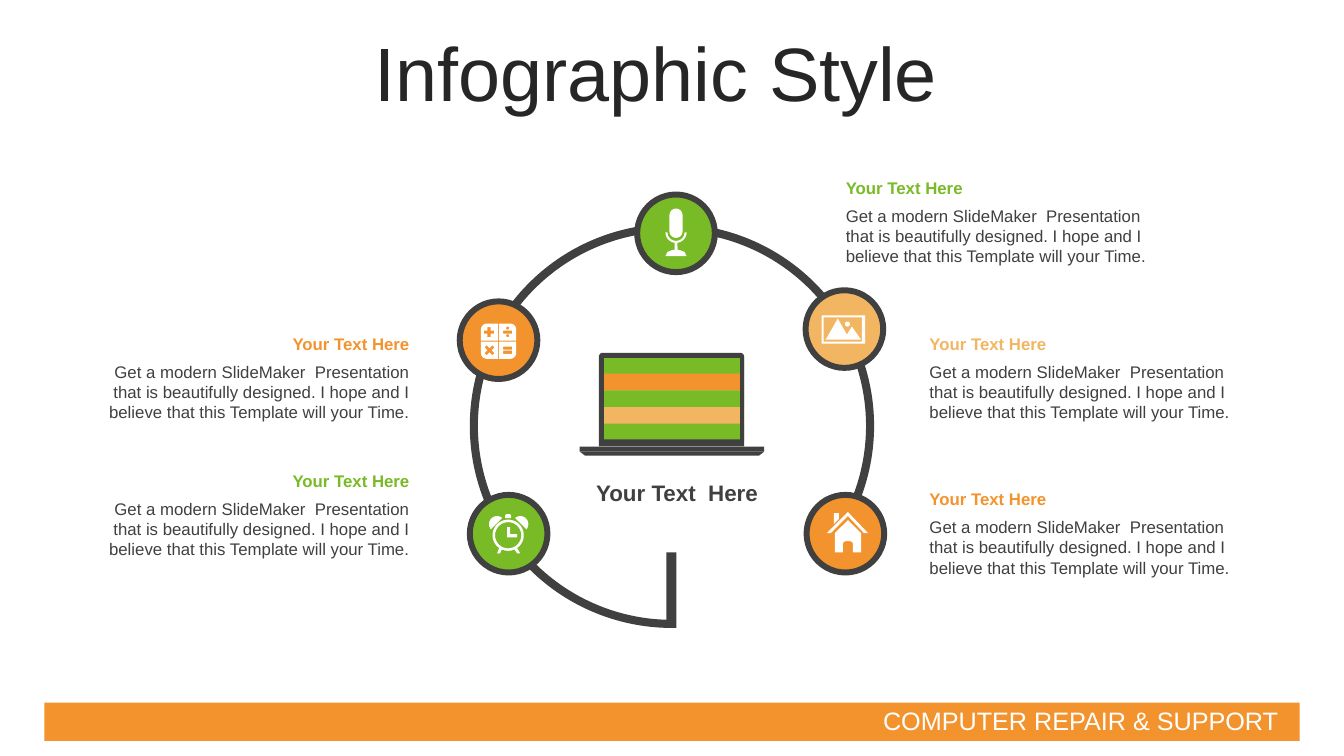
from math import cos, radians, sin

from pptx import Presentation
from pptx.dml.color import RGBColor
from pptx.enum.shapes import MSO_SHAPE as SHAPE
from pptx.enum.text import MSO_ANCHOR as ANCHOR, PP_ALIGN as ALIGN
from pptx.util import Emu, Pt

PX = 9144  # EMU per px, 100 px to the inch

GREEN = RGBColor(0x79, 0xBA, 0x27)
ORANGE = RGBColor(0xF3, 0x93, 0x2D)
SAND = RGBColor(0xF2, 0xB6, 0x62)
DARK = RGBColor(0x40, 0x40, 0x40)
TITLE_INK = RGBColor(0x26, 0x26, 0x26)
WHITE = RGBColor(0xFF, 0xFF, 0xFF)

FONT = "Arial"
HEADING = "Your Text Here"
BODY = ("Get a modern SlideMaker  Presentation that is beautifully designed. "
        "I hope and I believe that this Template will your Time.")


def px(value):
    return Emu(round(value * PX))


# Outline points
def arc(cx, cy, radius, start=0, end=360):
    """Points along an arc; angles run clockwise from the right."""
    if radius == 0:
        return [(cx, cy)]
    steps = max(4, abs(end - start) // 10)
    angles = [radians(start + (end - start) * i / steps) for i in range(steps + 1)]
    return [(cx + radius * cos(a), cy + radius * sin(a)) for a in angles]


def box(left, top, right, bottom, tl=0, tr=0, br=0, bl=0):
    """Rectangle with a radius for each corner."""
    return (arc(left + tl, top + tl, tl, 180, 270)
            + arc(right - tr, top + tr, tr, 270, 360)
            + arc(right - br, bottom - br, br, 0, 90)
            + arc(left + bl, bottom - bl, bl, 90, 180))


def plus(cx, cy, arm, half, turn=0):
    corners = [(half, -arm), (half, -half), (arm, -half)]
    points = []
    for quarter in range(4):
        a = radians(turn + 90 * quarter)
        points += [(cx + x * cos(a) - y * sin(a), cy + x * sin(a) + y * cos(a))
                   for x, y in corners]
    return points


# Icons: lists of closed contours
CLOCK = [
    arc(504, 531, 15.5, 125, 415) + [(516, 549), (513, 549)]
    + arc(504, 531, 15.5, 66, 114) + [(496, 549), (493, 549)],
    arc(504, 531, 13),
    [(503, 523), (506, 523), (506, 530), (513, 530), (513, 533), (503, 533)],
    arc(493, 520, 8, 140, 310),
    arc(516, 520, 8, 230, 400),
    box(501, 510, 507, 514, tl=2, tr=2),
]
CALCULATOR = [
    box(477, 321, 494, 338, tl=6),
    box(495, 321, 512, 338, tr=6),
    box(495, 339, 512, 356, br=6),
    box(477, 339, 494, 356, bl=6),
    plus(485, 329.5, 5, 1.5),
    plus(485.5, 347.5, 5.5, 1.5, turn=45),
    box(499, 328, 508, 331),
    arc(503.5, 325.5, 1.5),
    arc(503.5, 333, 1.5),
    box(499, 344, 508, 347),
    box(499, 348, 508, 351),
]
HOUSE = [
    [(841, 508), (861, 529), (857, 529), (841, 512), (824, 529), (820, 529)],
    [(827, 509), (832, 509), (832, 515), (827, 520)],
    [(841, 516), (854, 529), (854, 548), (846, 548)]
    + arc(843, 540, 3, 360, 270) + arc(839, 540, 3, 270, 180)
    + [(836, 548), (828, 548), (828, 529)],
]
MICROPHONE = [
    box(664, 207, 677, 236, 6.5, 6.5, 6.5, 6.5),
    arc(670.5, 230.5, 10.5, 0, 82)
    + [(672, 248), (674, 248), (679, 250), (681, 254),
       (660, 254), (662, 250), (667, 248), (669, 248)]
    + arc(670.5, 230.5, 10.5, 98, 180) + arc(670.5, 230.5, 8.5, 180, 0),
]
PHOTO = [
    box(815, 313, 858, 341),
    box(817, 315, 855, 339),
    arc(840.5, 321.5, 2.5),
    [(831, 316), (840, 332), (845, 324), (854, 337), (819, 337)],
]
SCREEN_FRAME = [box(594, 350, 738, 443, tl=4, tr=4), box(599, 355, 734, 436)]

# left, top, fill, icon
BADGES = [
    (800, 491, ORANGE, HOUSE),
    (632, 193, GREEN, MICROPHONE),
    (456, 299, ORANGE, CALCULATOR),
    (466, 491, GREEN, CLOCK),
    (799, 288, SAND, PHOTO),
]
# left, top, heading colour, alignment
CAPTIONS = [
    (829, 171, GREEN, ALIGN.LEFT),
    (912, 326, SAND, ALIGN.LEFT),
    (912, 480, ORANGE, ALIGN.LEFT),
    (91, 326, ORANGE, ALIGN.RIGHT),
    (91, 462, GREEN, ALIGN.RIGHT),
]


# Elements
def paint(shape, fill, line=None):
    shape.shadow.inherit = False
    shape.fill.solid()
    shape.fill.fore_color.rgb = fill
    if line is None:
        shape.line.fill.background()
    else:
        shape.line.color.rgb = line
        shape.line.width = Pt(4.25)


def add_preset(slide, kind, left, top, width, height, fill, line=None):
    shape = slide.shapes.add_shape(kind, px(left), px(top), px(width), px(height))
    paint(shape, fill, line)
    return shape


def add_outline(slide, contours, fill):
    scaled = [[(px(x), px(y)) for x, y in contour] for contour in contours]
    builder = slide.shapes.build_freeform(*scaled[0][0], scale=1.0)
    for contour in scaled:
        builder.move_to(*contour[0])
        builder.add_line_segments(contour[1:], close=True)
    paint(builder.convert_to_shape(), fill)


def write(frame, text, size, color, align=ALIGN.LEFT, bold=False):
    frame.text = text
    paragraph = frame.paragraphs[0]
    paragraph.alignment = align
    font = paragraph.runs[0].font
    font.name, font.size, font.bold = FONT, Pt(size), bold
    font.color.rgb = color


def add_label(slide, left, top, width, height, text, size, color, **style):
    label = slide.shapes.add_textbox(px(left), px(top), px(width), px(height))
    label.text_frame.word_wrap = True
    write(label.text_frame, text, size, color, **style)
    return label


def add_title(slide, text):
    title = slide.shapes.title
    title.left, title.top, title.width, title.height = map(px, (0, 37, 1301, 79))
    title.text_frame.vertical_anchor = ANCHOR.MIDDLE
    write(title.text_frame, text, 54, TITLE_INK, ALIGN.CENTER)
    title.text_frame.paragraphs[0].line_spacing = 0.9


def add_footer(slide, text):
    add_preset(slide, SHAPE.RECTANGLE, 44, 697, 1245, 38, ORANGE)
    footer = add_label(slide, 866, 695, 423, 40, text, 18, WHITE)
    footer.text_frame.word_wrap = False
    footer.text_frame.vertical_anchor = ANCHOR.MIDDLE


def add_laptop(slide):
    for row, color in enumerate([GREEN, ORANGE, GREEN, SAND, GREEN]):
        add_preset(slide, SHAPE.RECTANGLE, 598, 354 + 16.6 * row, 140, 17, color)
    add_outline(slide, SCREEN_FRAME, DARK)
    add_preset(slide, SHAPE.RECTANGLE, 575, 443, 183, 5, DARK)
    base = add_preset(slide, SHAPE.TRAPEZOID, 575, 448, 183, 4, DARK)
    base.rotation = 180
    base.adjustments[0] = 1.3


def add_ring(slide):
    ring = add_preset(slide, SHAPE.BLOCK_ARC, 466, 222, 401, 401, DARK)
    for index, value in enumerate((53.93, 17.21, 0.02)):
        ring.adjustments[index] = value
    add_preset(slide, SHAPE.RECTANGLE, 661, 548, 10, 75, DARK)


def add_caption(slide, left, top, color, align):
    add_label(slide, left, top, 325, 30, HEADING, 12, color, align=align, bold=True)
    add_label(slide, left, top + 28, 325, 71, BODY, 12, DARK, align=align)


def main():
    deck = Presentation()
    deck.slide_width, deck.slide_height = px(1333), px(750)
    slide = deck.slides.add_slide(deck.slide_layouts[5])

    add_footer(slide, "COMPUTER REPAIR & SUPPORT")
    add_title(slide, "Infographic Style")

    # Centre
    add_laptop(slide)
    add_label(slide, 549, 470, 245, 37, "Your Text  Here", 16, DARK,
              align=ALIGN.CENTER, bold=True)

    # Ring with its badges
    add_ring(slide)
    for left, top, color, icon in BADGES:
        add_preset(slide, SHAPE.OVAL, left, top, 77, 77, color, DARK)
        add_outline(slide, icon, WHITE)

    for caption in CAPTIONS:
        add_caption(slide, *caption)

    deck.save("out.pptx")


if __name__ == "__main__":
    main()
